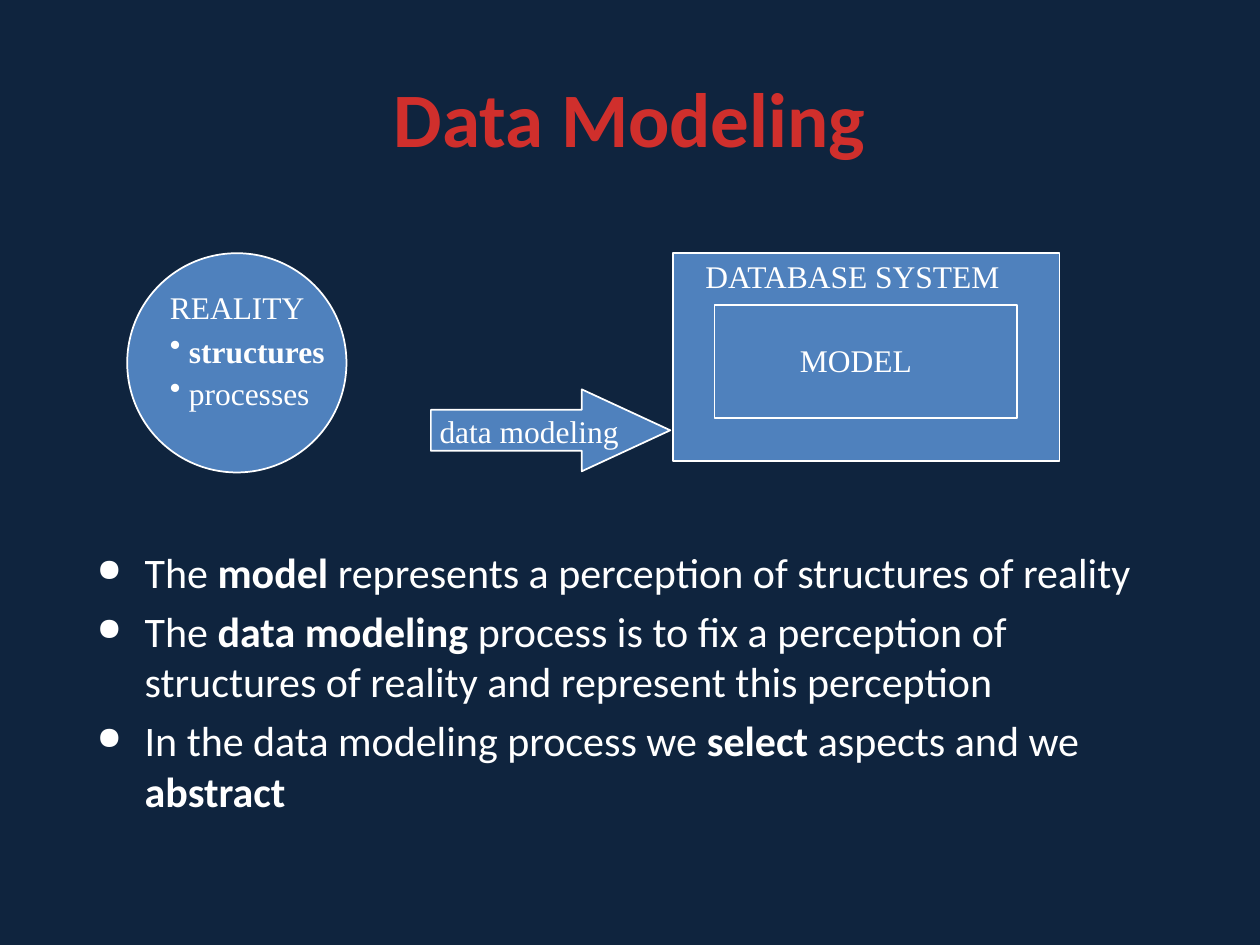
from lxml import etree
from pptx import Presentation
from pptx.dml.color import RGBColor
from pptx.enum.shapes import MSO_SHAPE
from pptx.enum.text import MSO_ANCHOR, PP_ALIGN
from pptx.oxml.ns import qn
from pptx.util import Inches, Pt

ELLIPSE, RECTANGLE, ARROW = MSO_SHAPE.OVAL, MSO_SHAPE.RECTANGLE, MSO_SHAPE.RIGHT_ARROW
MIDDLE, CENTER = MSO_ANCHOR.MIDDLE, PP_ALIGN.CENTER

WIDTH, HEIGHT = 10, 7.5
NAVY, BLUE, WHITE, RED = "0F243E", "4F81BD", "FFFFFF", "D02F2C"
SANS, SERIF = "Calibri", "Times New Roman"

TITLE = "Data Modeling"
DIAGRAM = [
    (ELLIPSE, (1.01, 2.01, 1.74, 1.74)),
    (RECTANGLE, (5.34, 2.01, 3.07, 1.65)),
    (RECTANGLE, (5.67, 2.42, 2.4, 0.9)),
    (ARROW, (3.42, 3.09, 1.9, 0.65)),
]
LABELS = [
    ("DATABASE SYSTEM", (5.5, 1.99, 2.68, 0.41), True),
    ("MODEL", (6.25, 2.66, 1.59, 0.41), True),
    ("data modeling", (3.39, 3.22, 1.64, 0.41), False),
]
REALITY = "REALITY"
REALITY_ITEMS = [[(" structures", True)], [(" processes", False)]]
STATEMENTS = [
    [("The ", False), ("model", True),
     (" represents a perception of structures of reality", False)],
    [("The ", False), ("data modeling ", True),
     ("process is to fix a perception of structures of reality"
      " and represent this perception", False)],
    [("In the data modeling process we ", False), ("select", True),
     (" aspects and we ", False), ("abstract", True)],
]


def color(value):
    return RGBColor.from_string(value)


def add_text_box(slide, box, wrap=True):
    frame = slide.shapes.add_textbox(*map(Inches, box)).text_frame
    frame.word_wrap = wrap
    return frame


def set_bullet(paragraph, character, indent=0, percent=100):
    properties = paragraph._p.get_or_add_pPr()
    properties.set("marL", str(Inches(indent)))
    properties.set("indent", str(-Inches(indent)))
    bullet_color = etree.SubElement(properties, qn("a:buClr"))
    etree.SubElement(bullet_color, qn("a:srgbClr"), val=WHITE)
    etree.SubElement(properties, qn("a:buSzPct"), val=str(percent * 1000))
    etree.SubElement(properties, qn("a:buChar"), char=character)


def write(paragraph, runs, font_name, size, value=WHITE):
    for text, bold in runs:
        run = paragraph.add_run()
        run.text = text
        run.font.bold = bold
    paragraph.font.name = font_name
    paragraph.font.size = Pt(size)
    paragraph.font.color.rgb = color(value)


def add_diagram_shape(slide, kind, box):
    shape = slide.shapes.add_shape(kind, *map(Inches, box))
    shape.shadow.inherit = False
    shape.fill.solid()
    shape.fill.fore_color.rgb = color(BLUE)
    shape.line.color.rgb = color(WHITE)
    shape.line.width = Pt(1)
    if kind == ARROW:
        shape.adjustments[1] = 1.08


def add_title(slide):
    frame = add_text_box(slide, (0.5, 0.3, WIDTH - 1, 1.25))
    frame.vertical_anchor = MIDDLE
    paragraph = frame.paragraphs[0]
    paragraph.alignment = CENTER
    write(paragraph, [(TITLE, True)], SANS, 44, RED)


def add_reality(slide):
    frame = add_text_box(slide, (1.25, 2.24, 1.93, 1.13))
    write(frame.paragraphs[0], [(REALITY, False)], SERIF, 18)
    frame.paragraphs[0].space_before = Pt(9)
    for runs in REALITY_ITEMS:
        paragraph = frame.add_paragraph()
        paragraph.line_spacing = 0.7
        paragraph.space_before = Pt(9)
        set_bullet(paragraph, "•")
        write(paragraph, runs, SERIF, 18)


def add_statements(slide):
    frame = add_text_box(slide, (0.67, 4.29, 8.5, 2.79))
    for index, runs in enumerate(STATEMENTS):
        paragraph = frame.add_paragraph() if index else frame.paragraphs[0]
        paragraph.space_before = Pt(4.8)
        set_bullet(paragraph, "●", 0.38, 75)
        write(paragraph, runs, SANS, 24)


def main():
    presentation = Presentation()
    presentation.slide_width, presentation.slide_height = Inches(WIDTH), Inches(HEIGHT)
    slide = presentation.slides.add_slide(presentation.slide_layouts[6])
    slide.background.fill.solid()
    slide.background.fill.fore_color.rgb = color(NAVY)

    add_title(slide)
    for kind, box in DIAGRAM:
        add_diagram_shape(slide, kind, box)
    add_reality(slide)
    for text, box, wrap in LABELS:
        write(add_text_box(slide, box, wrap).paragraphs[0], [(text, False)], SERIF, 18)
    add_statements(slide)
    presentation.save("out.pptx")


if __name__ == "__main__":
    main()
